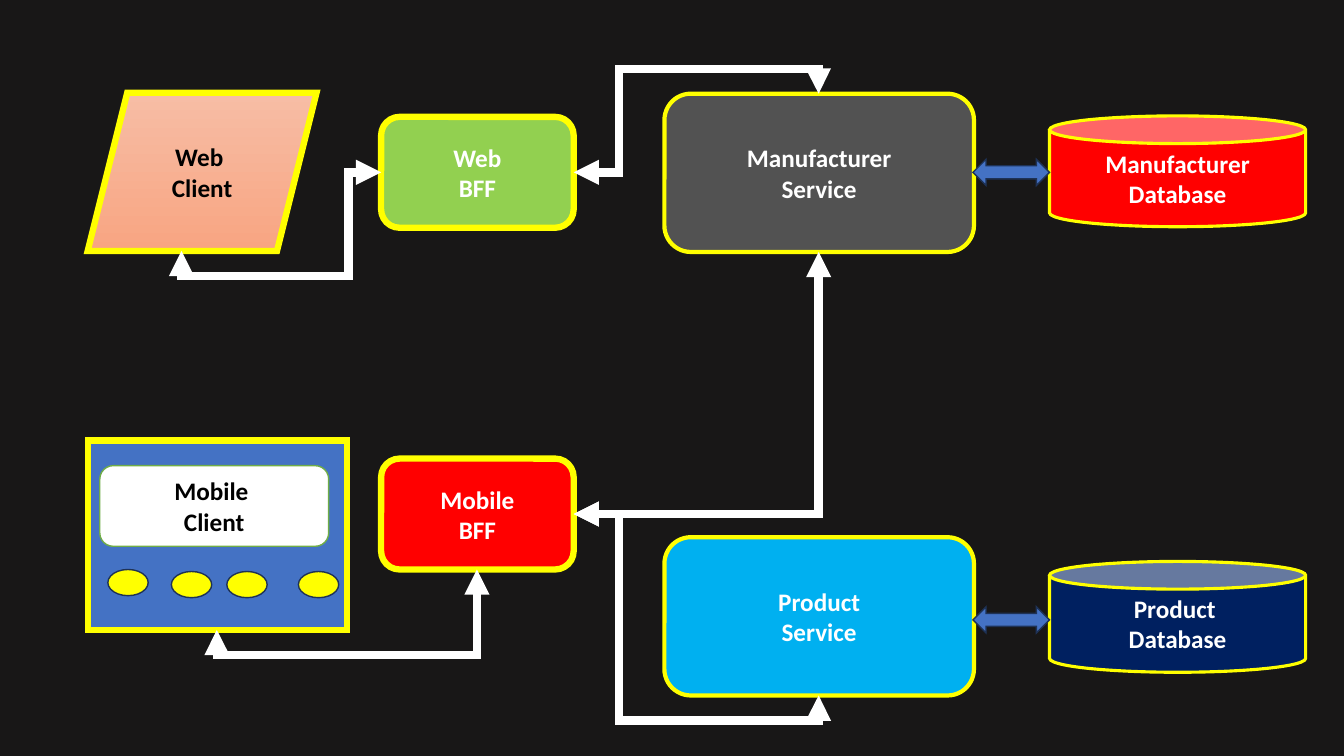
from dataclasses import dataclass

from lxml.etree import SubElement
from pptx import Presentation
from pptx.dml.color import RGBColor
from pptx.enum.shapes import MSO_CONNECTOR, MSO_SHAPE
from pptx.enum.text import MSO_ANCHOR, PP_ALIGN
from pptx.oxml.ns import qn
from pptx.util import Inches, Pt


@dataclass(frozen=True)
class Theme:
    font: str = "Calibri"
    label_size: int = 18
    background: str = "181717"
    white: str = "FFFFFF"
    black: str = "000000"
    yellow: str = "FFFF00"
    red: str = "FF0000"
    navy: str = "002060"
    gray: str = "525252"
    sky: str = "00B0F0"
    blue: str = "4472C4"
    blue_edge: str = "1E3256"
    lime: str = "92D050"
    green_edge: str = "70AD47"
    peach: tuple = ("F7BDA5", "F8A582")
    thin: float = 1
    database_edge: float = 2.25
    service_edge: float = 3
    client_edge: float = 4.5
    link: float = 6


class Diagram:
    def __init__(self, slide, theme):
        self.slide = slide
        self.theme = theme
        background = slide.background.fill
        background.solid()
        background.fore_color.rgb = RGBColor.from_string(theme.background)

    def outline(self, line, color, width):
        """Draw a solid line with square corners and return its XML element."""
        line.color.rgb = RGBColor.from_string(color)
        line.width = Pt(width)
        ln = line._get_or_add_ln()
        SubElement(ln, qn("a:miter"), lim="800000")
        return ln

    def shape(self, kind, box, fill, edge, width, label="", ink=None):
        """Add a preset shape; a pair of fill colours gives a downward gradient."""
        shape = self.slide.shapes.add_shape(kind, *map(Inches, box))
        shape.shadow.inherit = False
        if isinstance(fill, tuple):
            shape.fill.gradient()
            shape.fill.gradient_angle = 270
            for stop, color in zip(shape.fill.gradient_stops, fill):
                stop.color.rgb = RGBColor.from_string(color)
        else:
            shape.fill.solid()
            shape.fill.fore_color.rgb = RGBColor.from_string(fill)
        self.outline(shape.line, edge, width)
        if label:
            self.label(shape.text_frame, label, ink or self.theme.white)

    def label(self, frame, label, ink):
        frame.word_wrap = True
        frame.vertical_anchor = MSO_ANCHOR.MIDDLE
        for index, words in enumerate(label.split("\n")):
            paragraph = frame.add_paragraph() if index else frame.paragraphs[0]
            paragraph.alignment = PP_ALIGN.CENTER
            run = paragraph.add_run()
            run.text = words
            run.font.name = self.theme.font
            run.font.size = Pt(self.theme.label_size)
            run.font.bold = True
            run.font.color.rgb = RGBColor.from_string(ink)

    def link(self, start, end, bends, adjustments=(), upright=False):
        """Add a two-headed bent connector; upright ones leave vertically."""
        if upright:
            mid_x, mid_y = (start[0] + end[0]) / 2, (start[1] + end[1]) / 2
            start, end = [(mid_x + y - mid_y, mid_y - x + mid_x) for x, y in (start, end)]
        link = self.slide.shapes.add_connector(
            MSO_CONNECTOR.ELBOW, *map(Inches, (*start, *end)))
        properties = link._element.spPr
        if upright:
            properties.find(qn("a:xfrm")).set("rot", str(90 * 60000))
        geometry = properties.find(qn("a:prstGeom"))
        geometry.set("prst", f"bentConnector{bends + 1}")
        guides = geometry.find(qn("a:avLst"))
        if guides is None:
            guides = SubElement(geometry, qn("a:avLst"))
        for number, share in enumerate(adjustments, 1):
            SubElement(guides, qn("a:gd"), name=f"adj{number}",
                       fmla=f"val {round(share * 100000)}")
        ln = self.outline(link.line, self.theme.white, self.theme.link)
        for tip in ("a:headEnd", "a:tailEnd"):
            SubElement(ln, qn(tip), type="triangle")
        SubElement(properties, qn("a:effectLst"))


def main():
    presentation = Presentation()
    presentation.slide_width = Inches(13.33)
    presentation.slide_height = Inches(7.5)
    theme = Theme()
    slide = presentation.slides.add_slide(presentation.slide_layouts[6])
    diagram = Diagram(slide, theme)

    backends = [
        (0.93, "Manufacturer\nService", theme.gray, 1.15, "Manufacturer Database", theme.red, 1.58),
        (5.33, "Product\nService", theme.sky, 5.57, "Product \nDatabase", theme.navy, 6.02),
    ]
    for service_top, service, service_fill, store_top, store, store_fill, arrow_top in backends:
        diagram.shape(MSO_SHAPE.CAN, (10.41, store_top, 2.54, 1.1), store_fill,
                      theme.yellow, theme.database_edge, store)
        diagram.shape(MSO_SHAPE.ROUNDED_RECTANGLE, (6.59, service_top, 3.07, 1.57),
                      service_fill, theme.yellow, theme.service_edge, service)
        diagram.shape(MSO_SHAPE.LEFT_RIGHT_ARROW, (9.65, arrow_top, 0.76, 0.26),
                      theme.blue, theme.blue_edge, theme.thin)

    diagram.shape(MSO_SHAPE.PARALLELOGRAM, (0.87, 0.92, 2.27, 1.57), theme.peach,
                  theme.yellow, theme.client_edge, "Web \nClient", theme.black)
    diagram.shape(MSO_SHAPE.RECTANGLE, (0.87, 4.37, 2.57, 1.88), theme.blue,
                  theme.yellow, theme.client_edge)
    diagram.shape(MSO_SHAPE.ROUNDED_RECTANGLE, (0.99, 4.62, 2.27, 0.8), theme.white,
                  theme.green_edge, theme.thin, "Mobile \nClient", theme.black)
    for button_left, button_top in [(1.07, 5.65), (1.7, 5.67), (2.25, 5.67), (2.96, 5.67)]:
        diagram.shape(MSO_SHAPE.OVAL, (button_left, button_top, 0.4, 0.26),
                      theme.yellow, theme.blue_edge, theme.thin)

    for bff_top, bff, bff_fill in [(1.16, "Web\nBFF", theme.lime),
                                   (4.55, "Mobile\nBFF", theme.red)]:
        diagram.shape(MSO_SHAPE.ROUNDED_RECTANGLE, (3.78, bff_top, 1.91, 1.1), bff_fill,
                      theme.yellow, theme.client_edge, bff)

    web_bff_right, mobile_bff_right = (5.69, 1.71), (5.69, 5.1)
    diagram.link((1.8, 2.49), (3.78, 1.71), 3, (-0.322, 0.837), upright=True)
    diagram.link(web_bff_right, (8.12, 0.93), 3, (0.184, 1.318))
    diagram.link((2.15, 6.25), (4.73, 5.65), 2, (-0.415,), upright=True)
    diagram.link(mobile_bff_right, (8.12, 6.9), 3, (0.184, 1.138))
    diagram.link(mobile_bff_right, (8.12, 2.5), 1)

    presentation.save("out.pptx")


if __name__ == "__main__":
    main()
